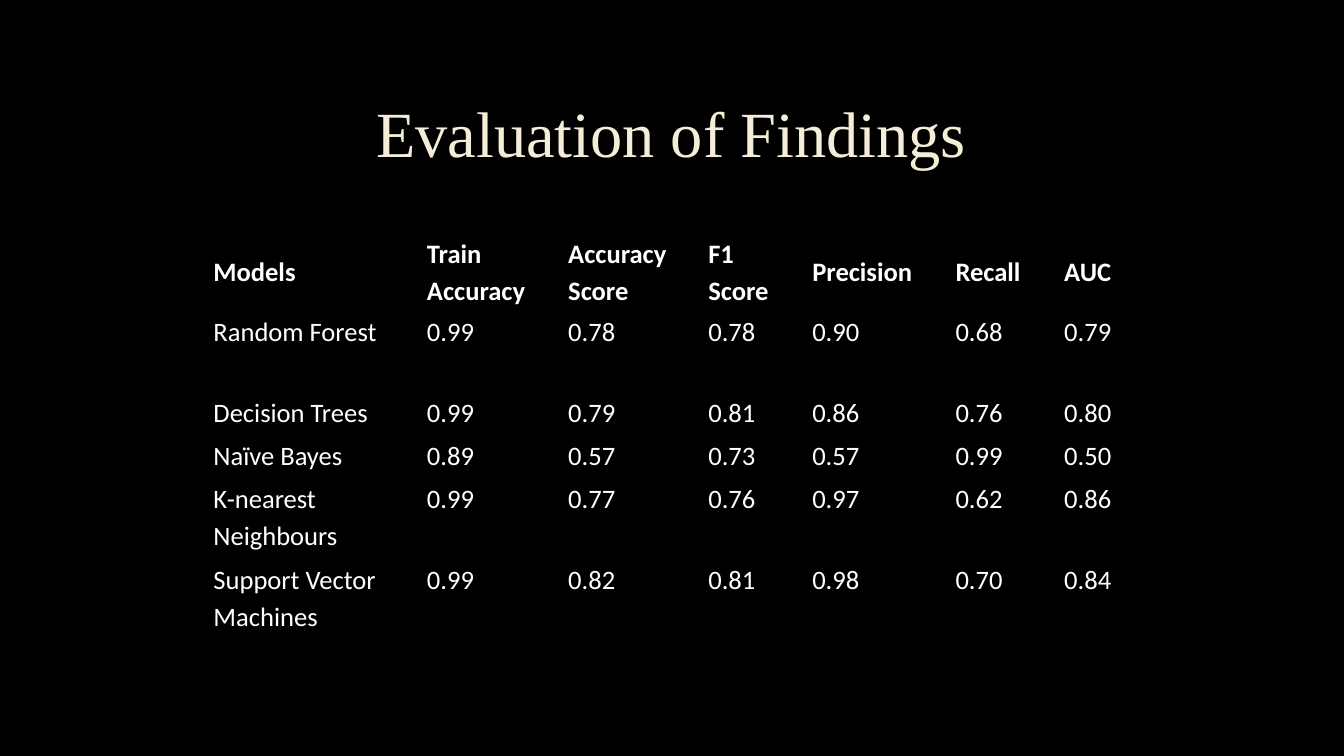
from lxml import etree
from pptx import Presentation
from pptx.dml.color import RGBColor
from pptx.enum import text
from pptx.oxml import parse_xml
from pptx.oxml.ns import nsdecls, qn
from pptx.util import Cm, Pt

BLACK = RGBColor(0x00, 0x00, 0x00)
WHITE = RGBColor(0xFF, 0xFF, 0xFF)
CREAM = RGBColor(0xF4, 0xED, 0xD8)
GREY = RGBColor(0x40, 0x40, 0x40)

COLUMN_WIDTHS = [5.38, 3.56, 3.53, 2.62, 3.61, 2.74, 2.29]
ONE_LINE, TWO_LINES = 1.09, 2.03
ROW_HEIGHTS = [TWO_LINES, TWO_LINES, ONE_LINE, ONE_LINE, TWO_LINES, TWO_LINES]

SCORES = [
    ["Models", "Train Accuracy", "Accuracy Score", "F1 Score", "Precision", "Recall", "AUC"],
    ["Random Forest", "0.99", "0.78", "0.78", "0.90", "0.68", "0.79"],
    ["Decision Trees", "0.99", "0.79", "0.81", "0.86", "0.76", "0.80"],
    ["Naïve Bayes", "0.89", "0.57", "0.73", "0.57", "0.99", "0.50"],
    ["K-nearest Neighbours", "0.99", "0.77", "0.76", "0.97", "0.62", "0.86"],
    ["Support Vector Machines", "0.99", "0.82", "0.81", "0.98", "0.70", "0.84"],
]

TITLE_FRAME = {"word_wrap": True, "vertical_anchor": text.MSO_ANCHOR.MIDDLE}
TITLE_PARAGRAPH = {"alignment": text.PP_ALIGN.CENTER, "line_spacing": 0.9}
TITLE_FONT = {"name": "Times New Roman", "size": Pt(46)}
CELL_FORMAT = {"margin_left": Cm(0.33), "margin_right": Cm(0.33),
               "margin_top": Cm(0.05), "margin_bottom": Cm(0)}
CELL_PARAGRAPH = {"line_spacing": 1.15, "space_after": Pt(8)}
CELL_FONT = {"name": "Calibri", "size": Pt(19)}


def apply(target, values):
    for name, value in values.items():
        setattr(target, name, value)


def write(paragraph, words, layout, font, colour):
    apply(paragraph, layout)
    run = paragraph.add_run()
    run.text = words
    apply(run.font, font)
    run.font.color.rgb = colour
    return run


def line_xml(tag, colour, width, alpha=100):
    return parse_xml(
        f'<a:{tag} {nsdecls("a")} w="{Pt(width)}"><a:solidFill><a:srgbClr val="{colour}">'
        f'<a:alpha val="{alpha * 1000}"/></a:srgbClr></a:solidFill>'
        f'<a:prstDash val="solid"/></a:{tag}>')


def add_title(slide, words):
    title = slide.shapes.add_textbox(Cm(2.54), Cm(1.7), Cm(28.75), Cm(3.5))
    apply(title.text_frame, TITLE_FRAME)
    run = write(title.text_frame.paragraphs[0], words, TITLE_PARAGRAPH, TITLE_FONT, CREAM)
    # Faint outline around the letters
    run._r.get_or_add_rPr().insert(0, line_xml("ln", GREY, 0.75, alpha=10))


def fill_cell(cell, words, is_header):
    anchor = text.MSO_ANCHOR.MIDDLE if is_header else text.MSO_ANCHOR.TOP
    apply(cell, {**CELL_FORMAT, "vertical_anchor": anchor})
    write(cell.text_frame.paragraphs[0], words, CELL_PARAGRAPH,
          {**CELL_FONT, "bold": is_header}, WHITE)
    # Borders come before the fill in the cell properties
    properties = cell._tc.get_or_add_tcPr()
    for side in ("lnL", "lnR", "lnT", "lnB"):
        properties.append(line_xml(side, BLACK, 1))
    etree.SubElement(properties, qn("a:noFill"))


def add_scores(slide):
    scores = slide.shapes.add_table(
        len(ROW_HEIGHTS), len(COLUMN_WIDTHS), Cm(5.05), Cm(5.77),
        Cm(sum(COLUMN_WIDTHS)), Cm(sum(ROW_HEIGHTS))).table
    apply(scores, {"first_row": False, "horz_banding": False})
    for column, width in zip(scores.columns, COLUMN_WIDTHS):
        column.width = Cm(width)
    for index, (row, height) in enumerate(zip(scores.rows, ROW_HEIGHTS)):
        row.height = Cm(height)
        for cell, words in zip(row.cells, SCORES[index]):
            fill_cell(cell, words, index == 0)


def main():
    deck = Presentation()
    apply(deck, {"slide_width": Cm(33.87), "slide_height": Cm(19.05)})
    slide = deck.slides.add_slide(deck.slide_layouts[6])

    # Black background
    slide.background.fill.solid()
    slide.background.fill.fore_color.rgb = BLACK

    # Title and model scores
    add_title(slide, "Evaluation of Findings")
    add_scores(slide)
    deck.save("out.pptx")


if __name__ == "__main__":
    main()
